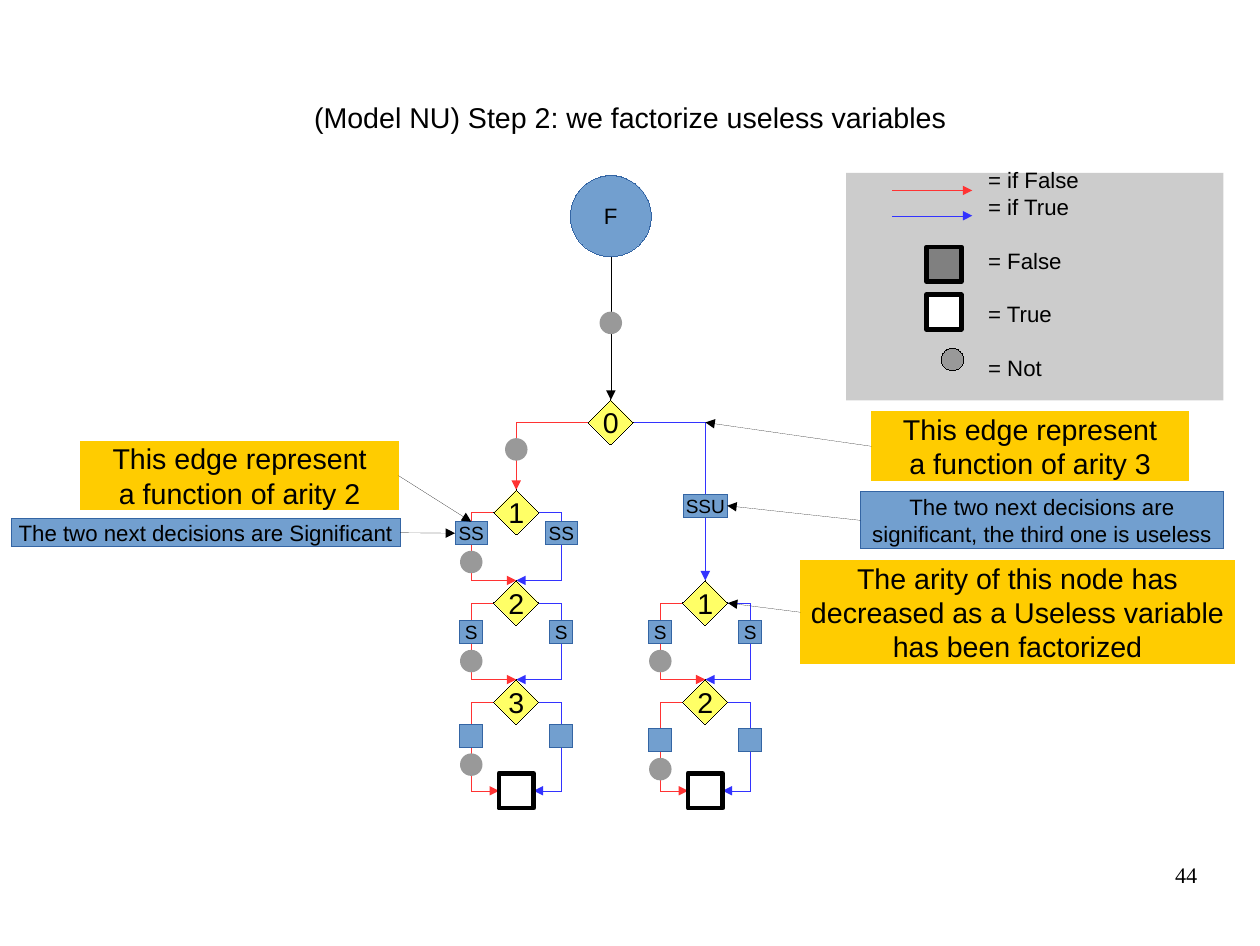
from lxml import etree
from pptx import Presentation
from pptx import util as u
from pptx.dml.color import RGBColor
from pptx.enum import shapes as kinds, text as txt
from pptx.oxml import ns

COLORS = {
    "black": "000000", "white": "FFFFFF", "panel": "CCCCCC", "dark": "808080",
    "not": "999999", "tag": "729FCF", "tag_edge": "3465A4", "node": "FFFF66",
    "callout": "FFCC00", "if_false": "FF3333", "if_true": "3333FF",
}
RECT = kinds.MSO_SHAPE.RECTANGLE
OVAL = kinds.MSO_SHAPE.OVAL
DIAMOND = kinds.MSO_SHAPE.DIAMOND
TOP, LEFT, RIGHT = 0, 1, 3
NODE_HALF = 0.5      # half the width of a decision node
LOOP_HALF = 1.0      # distance from a node's axis to its side branches
LEAF = 0.77


def color(name):
    return RGBColor.from_string(COLORS[name])


def write(frame, content, size, font="Arial", align=txt.PP_ALIGN.CENTER):
    frame.text = content
    frame.margin_left = frame.margin_right = 0
    frame.margin_top = frame.margin_bottom = 0
    for paragraph in frame.paragraphs:
        paragraph.alignment = align
        paragraph.font.size = u.Pt(size)
        paragraph.font.name = font
        paragraph.font.color.rgb = color("black")


def draw_line(part, ink, width=0):
    """Colour a line; a width of zero is a hairline and has to be written out."""
    part.line.color.rgb = color(ink)
    outline = part._element.spPr.find(ns.qn("a:ln"))
    outline.set("w", str(u.Pt(width)))
    return outline


def add_part(slide, kind, cx, cy, w, h, fill, edge=None, width=0, label="", size=14):
    """Place a shape by its centre."""
    part = slide.shapes.add_shape(
        kind, u.Cm(cx - w / 2), u.Cm(cy - h / 2), u.Cm(w), u.Cm(h))
    part.shadow.inherit = False
    part.fill.solid()
    part.fill.fore_color.rgb = color(fill)
    if edge:
        draw_line(part, edge, width)
    else:
        part.line.fill.background()
    if label:
        write(part.text_frame, label, size)
        part.text_frame.word_wrap = False
        part.text_frame.vertical_anchor = txt.MSO_ANCHOR.MIDDLE
    return part


def add_arrow(slide, start, end, ink="black", kind=kinds.MSO_CONNECTOR.STRAIGHT):
    arrow = slide.shapes.add_connector(kind, *(u.Cm(v) for v in (*start, *end)))
    outline = draw_line(arrow, ink)
    etree.SubElement(outline, ns.qn("a:tailEnd"), type="triangle")
    etree.SubElement(arrow._element.spPr, ns.qn("a:effectLst"))
    return arrow


def add_bent(slide, start, end, ink, bend=None):
    """One corner without a bend; otherwise two corners at that share of the width."""
    arrow = add_arrow(slide, start, end, ink, kinds.MSO_CONNECTOR.ELBOW)
    geometry = arrow._element.spPr.find(ns.qn("a:prstGeom"))
    if bend is None:
        geometry.set("prst", "bentConnector2")
        return
    guides = geometry.find(ns.qn("a:avLst"))
    if guides is None:
        guides = etree.SubElement(geometry, ns.qn("a:avLst"))
    etree.SubElement(guides, ns.qn("a:gd"), name="adj1", fmla=f"val {round(bend * 100000)}")


def add_node(slide, x, y, label):
    add_part(slide, DIAMOND, x, y, 2 * NODE_HALF, 2 * NODE_HALF, "node", "black",
             label=label, size=18)


def add_not(slide, x, y, edge=None):
    add_part(slide, OVAL, x, y, 0.5, 0.5, "not", edge)


def add_tag(slide, x, y, label=""):
    width = {"SS": 0.72, "SSU": 0.97}.get(label, 0.51)
    return add_part(slide, RECT, x, y, width, 0.51, "tag", "tag_edge", label=label, size=12)


def add_leaf(slide, x, y, fill="white"):
    add_part(slide, RECT, x, y, LEAF, LEAF, fill, "black", 3)


def add_decision(slide, x, y, end_y, label, tag, tag_drop, end_half=0):
    """A node whose two branches meet again at end_y; returns the left tag."""
    for side, ink in ((-1, "if_false"), (1, "if_true")):
        bend = -(LOOP_HALF - NODE_HALF) / (NODE_HALF - end_half)
        add_bent(slide, (x + side * NODE_HALF, y), (x + side * end_half, end_y), ink, bend)
    tags = [add_tag(slide, x + side * LOOP_HALF, y + tag_drop, tag) for side in (-1, 1)]
    add_not(slide, x - LOOP_HALF, y + tag_drop + 0.64)
    add_node(slide, x, y, label)
    return tags[0]


def add_tree(slide, x, top):
    """The function and its decisions; returns the tags the callouts point at."""
    root_y, first_y, second_y, third_y, leaf_y = (top + d for d in (5.48, 7.48, 9.49, 11.69, 13.66))
    left, right = x - 2.1, x + 2.1

    # Function and root
    add_arrow(slide, (x, top + 1.8), (x, root_y - NODE_HALF))
    add_part(slide, OVAL, x, top + 0.9, 1.8, 1.8, "tag", "tag_edge", label="F")
    add_not(slide, x, top + 3.27)
    add_bent(slide, (x - NODE_HALF, root_y), (left, first_y - NODE_HALF), "if_false")
    add_bent(slide, (x + NODE_HALF, root_y), (right, second_y - NODE_HALF), "if_true")
    add_node(slide, x, root_y, "0")
    add_not(slide, left, top + 6.08)
    useless = add_tag(slide, right, top + 7.33, "SSU")

    # Left and right chains of decisions
    significant = add_decision(slide, left, first_y, second_y - NODE_HALF, "1", "SS", 0.46)
    for axis, labels, last_drop in ((left, "23", 0.75), (right, "12", 0.85)):
        add_decision(slide, axis, second_y, third_y - NODE_HALF, labels[0], "S", 0.65)
        add_decision(slide, axis, third_y, leaf_y, labels[1], "", last_drop, LEAF / 2)
        add_leaf(slide, axis, leaf_y)
    return significant, useless


def add_legend(slide, left, top, w, h):
    add_part(slide, RECT, left + w / 2, top + h / 2, w, h, "panel")
    for drop, ink in ((0.39, "if_false"), (0.95, "if_true")):
        add_arrow(slide, (left + 1.02, top + drop), (left + 2.8, top + drop), ink)
    add_leaf(slide, left + 2.17, top + 2.03, "dark")
    add_leaf(slide, left + 2.17, top + 3.09)
    add_not(slide, left + 2.36, top + 4.14, "black")

    meanings = slide.shapes.add_textbox(
        u.Cm(left + 3.15), u.Cm(top - 0.14), u.Cm(w - 3.15), u.Cm(h)).text_frame
    write(meanings, "= if False\n= if True\n= False\n= True\n= Not", 14, align=txt.PP_ALIGN.LEFT)
    meanings.word_wrap = True
    for meaning in meanings.paragraphs[2:]:
        meaning.space_before = u.Pt(17)


def add_callout(slide, left, top, w, h, message, fill, side, end, target=None):
    """A box with an arrow from one side to a point or to a (shape, site) target."""
    edge, size = ("tag_edge", 14) if fill == "tag" else (fill, 18)
    box = add_part(slide, RECT, left + w / 2, top + h / 2, w, h, fill, edge,
                   label=message, size=size)
    start_x = left if side == LEFT else left + w
    arrow = add_arrow(slide, (start_x, top + h / 2), end)
    arrow.begin_connect(box, side)
    if target:
        arrow.end_connect(*target)


def add_line_of_text(slide, left, top, w, h, content, size, font, align, anchor):
    frame = slide.shapes.add_textbox(u.Cm(left), u.Cm(top), u.Cm(w), u.Cm(h)).text_frame
    write(frame, content, size, font, align)
    frame.word_wrap = True
    frame.vertical_anchor = anchor


def main():
    deck = Presentation()
    deck.slide_width = u.Inches(11.02)
    deck.slide_height = u.Inches(8.27)
    slide = deck.slides.add_slide(deck.slide_layouts[6])

    # Title and page number
    add_line_of_text(slide, 1.4, 0.85, 25.2, 3.5,
                     "(Model NU) Step 2: we factorize useless variables",
                     18, "Arial", txt.PP_ALIGN.CENTER, txt.MSO_ANCHOR.MIDDLE)
    add_line_of_text(slide, 20.07, 19.13, 6.53, 1.45, "44", 14, "Times New Roman",
                     txt.PP_ALIGN.RIGHT, txt.MSO_ANCHOR.TOP)

    # Diagram and legend
    significant, useless = add_tree(slide, 13.57, 3.9)
    add_legend(slide, 18.8, 3.84, 8.38, 5.05)

    # Callouts
    add_callout(slide, 1.8, 9.8, 7.05, 1.52, "This edge represent\na function of arity 2",
                "callout", RIGHT, (10.47, 11.58), (significant, TOP))
    add_callout(slide, 0.25, 11.52, 8.64, 0.62, "The two next decisions are Significant",
                "tag", RIGHT, (10.11, 11.84), (significant, LEFT))
    add_callout(slide, 19.36, 9.14, 7.05, 1.54, "This edge represent\na function of arity 3",
                "callout", LEFT, (15.67, 9.38))
    add_callout(slide, 19.12, 10.92, 8.06, 1.27,
                "The two next decisions are\nsignificant, the third one is useless",
                "tag", LEFT, (16.16, 11.23), (useless, RIGHT))
    add_callout(slide, 17.78, 12.45, 9.65, 2.29,
                "The arity of this node has\ndecreased as a Useless variable\nhas been factorized",
                "callout", LEFT, (16.17, 13.39))
    deck.save("out.pptx")


if __name__ == "__main__":
    main()
